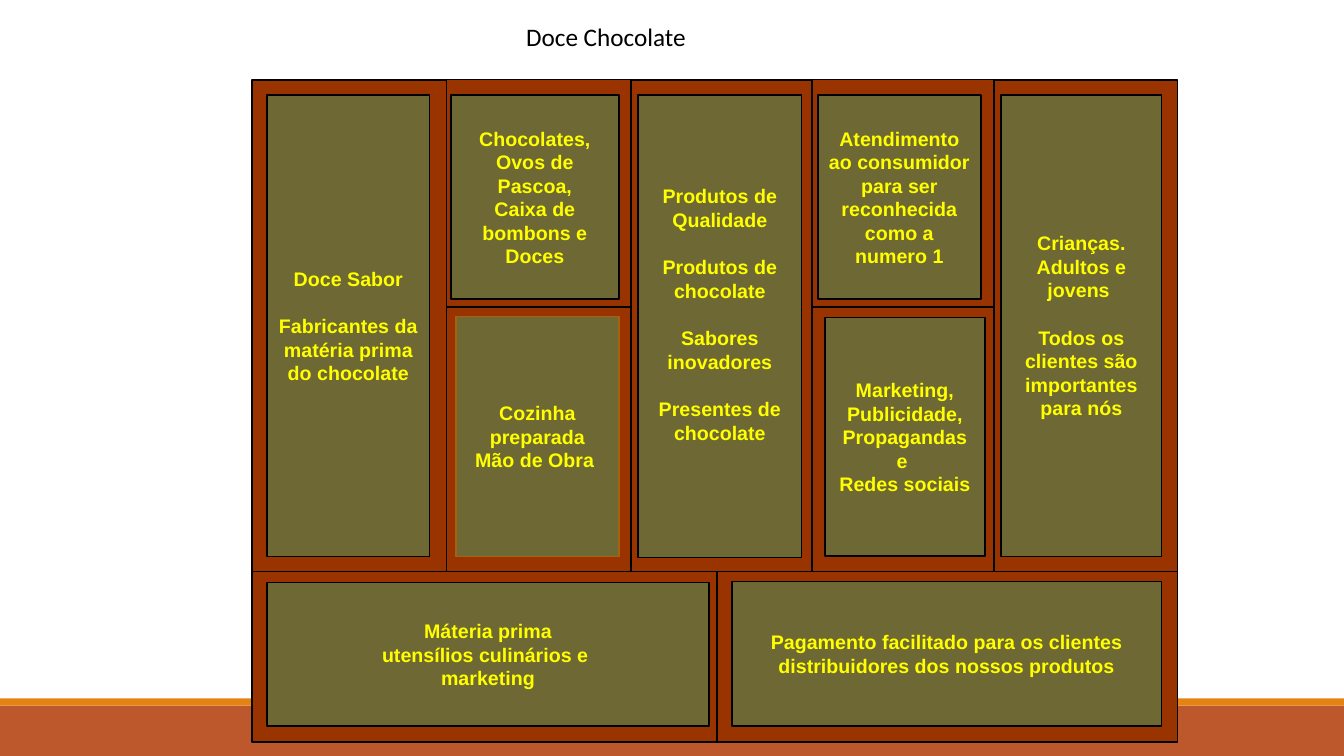
import pptx
import pptx.util
import pptx.dml.color
import pptx.enum.shapes
import pptx.enum.text

SCALE = 9144
HUES = {
    "band": "BD582C", "stripe": "E48312", "frame": "993300", "panel": "6D6834",
    "edge": "000000", "amber": "A9610D", "text": "FFFF00", "title": "000000",
}
COLS = [250, 443, 626, 805, 986, 1168]
ROWS = [79, 305, 567, 736]
MID = 711
GAP = 17

BLOCKS = [
    ((COLS[0], ROWS[0], COLS[1], ROWS[2]), (15, 15, 161, 458), "edge", 0,
     [["Doce Sabor"], ["Fabricantes da matéria prima do chocolate"]]),
    ((COLS[1], ROWS[0], COLS[2], ROWS[1]), (4, 15, 167, 203), "edge", 0,
     [["Chocolates,", "Ovos de Pascoa,", "Caixa de bombons e Doces"]]),
    ((COLS[2], ROWS[0], COLS[3], ROWS[2]), (7, 15, 162, 459), "edge", GAP,
     [["Produtos de Qualidade"], ["Produtos de chocolate"],
      ["Sabores inovadores"], ["Presentes de chocolate"]]),
    ((COLS[3], ROWS[0], COLS[4], ROWS[1]), (6, 15, 162, 203), "edge", 0,
     [["Atendimento ao consumidor para ser reconhecida como a numero 1"]]),
    ((COLS[4], ROWS[0], COLS[5], ROWS[2]), (7, 15, 159, 458), "edge", 0,
     [["Crianças. Adultos e jovens "],
      ["Todos os clientes são importantes para nós"]]),
    ((COLS[1], ROWS[1], COLS[2], ROWS[2]), (9, 9, 162, 238), "amber", 0,
     [["Cozinha preparada", "Mão de Obra "]]),
    ((COLS[3], ROWS[1], COLS[4], ROWS[2]), (13, 10, 159, 237), "edge", 0,
     [["Marketing,", "Publicidade,", "Propagandas e ", "Redes sociais"]]),
    ((COLS[0], ROWS[2], MID, ROWS[3]), (15, 11, 438, 142), "edge", 0,
     [["Máteria prima", "utensílios culinários e ", "marketing"]]),
    ((MID, ROWS[2], COLS[5], ROWS[3]), (15, 10, 426, 143), "edge", 0,
     [["Pagamento facilitado para os clientes distribuidores dos nossos produtos"]]),
]


def px(num):
    return pptx.util.Emu(num * SCALE)


def hue(name):
    return pptx.dml.color.RGBColor.from_string(HUES[name])


def draw_rect(slide, box, fill, line=None):
    rect = slide.shapes.add_shape(
        pptx.enum.shapes.MSO_SHAPE.RECTANGLE, *map(px, box))
    rect.shadow.inherit = False
    rect.fill.solid()
    rect.fill.fore_color.rgb = hue(fill)
    if line:
        rect.line.color.rgb = hue(line)
        rect.line.width = pptx.util.Pt(1.25)
    else:
        rect.line.fill.background()
    return rect


def style(para, face, size, color, bold):
    para.alignment = pptx.enum.text.PP_ALIGN.CENTER
    para.font.name = face
    para.font.size = pptx.util.Pt(size)
    para.font.bold = bold
    para.font.color.rgb = hue(color)


def draw_foot(slide, box):
    left, top, width, height = box
    draw_rect(slide, (left, top + 7, width, height - 7), "band")
    draw_rect(slide, (left, top, width, 7), "stripe")


def draw_title(slide, box):
    title = slide.shapes.title
    title.left, title.top, title.width, title.height = map(px, box)
    frame = title.text_frame
    frame.text = "Doce Chocolate"
    frame.vertical_anchor = pptx.enum.text.MSO_ANCHOR.MIDDLE
    style(frame.paragraphs[0], "Calibri", 18, "title", False)


def draw_panel(slide, box, line, drop, groups):
    frame = draw_rect(slide, box, "panel", line).text_frame
    frame.word_wrap = True
    frame.vertical_anchor = pptx.enum.text.MSO_ANCHOR.MIDDLE
    frame.margin_bottom += pptx.util.Pt(drop)
    frame.text = "\n".join(text for group in groups for text in group)
    paras = iter(frame.paragraphs)
    for rank, group in enumerate(groups):
        for place, para in zip(range(len(group)), paras):
            style(para, "Arial", 14, "text", True)
            if rank and not place:
                para.space_before = pptx.util.Pt(GAP)


def draw_canvas(slide, blocks):
    for (left, top, right, bottom), *rest in blocks:
        draw_rect(slide, (left, top, right - left, bottom - top), "frame", "edge")
    for (left, top, *ends), (dx, dy, width, height), line, drop, groups in blocks:
        draw_panel(slide, (left + dx, top + dy, width, height), line, drop, groups)


def main():
    deck = pptx.Presentation()
    deck.slide_width, deck.slide_height = px(1333), px(750)
    slide = deck.slides.add_slide(deck.slide_layouts[5])
    draw_foot(slide, (0, 693, 1333, 57))
    draw_canvas(slide, BLOCKS)
    draw_title(slide, (250, 16, 702, 40))
    deck.save("out.pptx")


if __name__ == "__main__":
    main()
